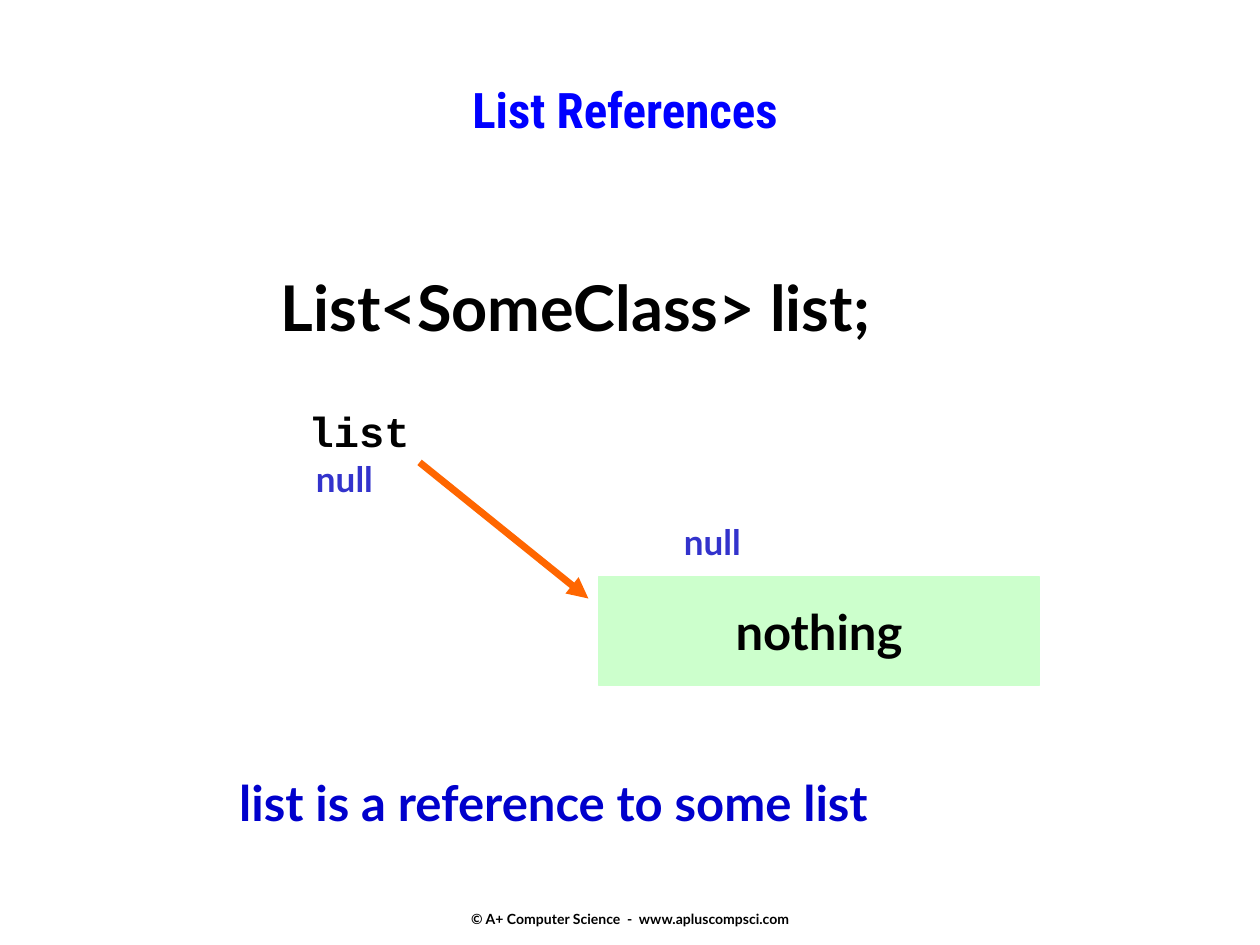
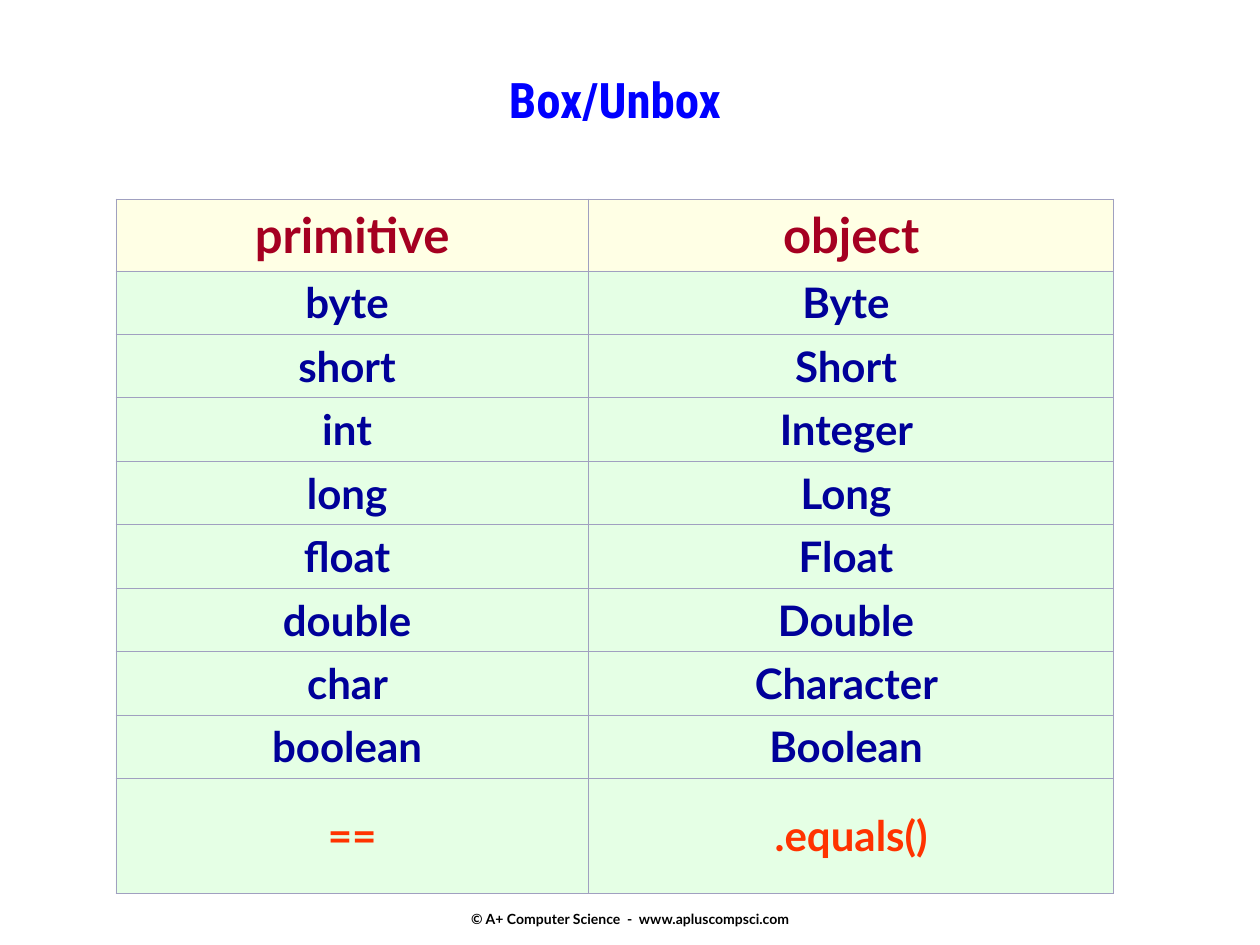
"""Build two slides on list references and boxing."""
from lxml.etree import SubElement
from pptx import Presentation
from pptx.dml.color import RGBColor
from pptx.enum.shapes import MSO_CONNECTOR, MSO_SHAPE
from pptx.enum.text import MSO_ANCHOR, MSO_AUTO_SIZE, PP_ALIGN
from pptx.oxml.ns import qn
from pptx.util import Inches, Pt

BLACK, BLUE, NAVY = "000000", "0000FF", "000099"
INDIGO, ROYAL = "3333CC", "0000CC"
ORANGE, RED, WINE = "FF6600", "FF3300", "A50021"
GREEN, CREAM, EDGE = "CCFFCC", "FFFFCC", "A0A0C0"
LATO, MONO, HEAD = "Lato", "Courier New", "Roboto Condensed"
LEFT, CENTER = PP_ALIGN.LEFT, PP_ALIGN.CENTER
TOP, MIDDLE = MSO_ANCHOR.TOP, MSO_ANCHOR.MIDDLE
PAIRS = [("byte", "Byte"), ("short", "Short"), ("int", "Integer"),
         ("long", "Long"), ("float", "Float"), ("double", "Double"),
         ("char", "Character"), ("boolean", "Boolean")]


def color(code):
    """Turn a hex string into a colour."""
    return RGBColor.from_string(code)


def write(frame, text, size=24, font=LATO, tint=BLACK, align=CENTER):
    """Put one bold, formatted paragraph in a text frame."""
    frame.text = text
    line = frame.paragraphs[0]
    line.alignment = align
    face = line.runs[0].font
    face.name, face.size, face.bold = font, Pt(size), True
    face.color.rgb = color(tint)


def label(slide, text, box, anchor=TOP, **style):
    """Add a text box."""
    frame = slide.shapes.add_textbox(*map(Inches, box)).text_frame
    frame.word_wrap = True
    frame.vertical_anchor = anchor
    write(frame, text, **style)


def page(deck, text, box):
    """Add a slide with its title and footer."""
    slide = deck.slides.add_slide(deck.slide_layouts[5])
    title = slide.shapes.title
    title.left, title.top, title.width, title.height = map(Inches, box)
    frame = title.text_frame
    frame.auto_size = MSO_AUTO_SIZE.NONE
    frame.vertical_anchor = TOP
    write(frame, text, size=28, font=HEAD, tint=BLUE)
    label(slide, "© A+ Computer Science  -  www.apluscompsci.com",
          (3.42, 7.04, 3.17, 0.5), anchor=MIDDLE, size=8)
    return slide


def block(slide, text, box, fill):
    """Add a filled rectangle with centred text."""
    shape = slide.shapes.add_shape(MSO_SHAPE.RECTANGLE, *map(Inches, box))
    shape.shadow.inherit = False
    shape.fill.solid()
    shape.fill.fore_color.rgb = color(fill)
    shape.line.color.rgb = color(fill)
    shape.line.width = Pt(1)
    shape.text_frame.vertical_anchor = MIDDLE
    write(shape.text_frame, text, size=28)


def arrow(slide, ends, tint, width):
    """Add a straight arrow without a shadow."""
    link = slide.shapes.add_connector(MSO_CONNECTOR.STRAIGHT,
                                      *map(Inches, ends))
    link.line.color.rgb = color(tint)
    link.line.width = Pt(width)
    SubElement(link.line._get_or_add_ln(), qn("a:tailEnd"), type="triangle")
    SubElement(link._element.spPr, qn("a:effectLst"))


def paint(cell, fill):
    """Give a cell thin borders and a half-clear fill."""
    props = cell._tc.get_or_add_tcPr()
    for side in ("lnL", "lnR", "lnT", "lnB"):
        edge = SubElement(props, qn(f"a:{side}"), w=str(Pt(0.45)))
        solid = SubElement(edge, qn("a:solidFill"))
        SubElement(solid, qn("a:srgbClr"), val=EDGE)
    cell.fill.solid()
    cell.fill.fore_color.rgb = color(fill)
    tone = props.find(qn("a:solidFill")).find(qn("a:srgbClr"))
    SubElement(tone, qn("a:alpha"), val="50000")


def grid(slide, rows, box, widths, heights):
    """Add a table from rows of words, fill and text style."""
    table = slide.shapes.add_table(len(rows), len(widths),
                                   *map(Inches, box)).table
    for col, width in zip(table.columns, widths):
        col.width = Inches(width)
    for row, height, (words, fill, style) in zip(table.rows, heights, rows):
        row.height = Inches(height)
        for cell, word in zip(row.cells, words):
            cell.vertical_anchor = MIDDLE
            write(cell.text_frame, word, **style)
            paint(cell, fill)


def draw_list(deck):
    """Build the slide on list references."""
    slide = page(deck, "List References", (1.17, 0.58, 7.58, 0.83))
    label(slide, "List<SomeClass> list;", (2.13, 2.08, 5.46, 0.7),
          size=36, align=LEFT)
    label(slide, "list", (2.35, 3.17, 1, 0.5), font=MONO)
    for left, top in ((2.41, 3.58), (5.33, 4.08)):
        label(slide, "null", (left, top, 0.73, 0.44),
              size=20, tint=INDIGO, align=LEFT)
    block(slide, "nothing", (4.75, 4.58, 3.5, 0.86), GREEN)
    arrow(slide, (3.33, 3.67, 4.67, 4.75), ORANGE, 4)
    label(slide, "list is a reference to some list",
          (1.8, 6.08, 5.98, 0.57), size=28, tint=ROYAL, align=LEFT)


def draw_box(deck):
    """Build the slide on boxing."""
    slide = page(deck, "Box/Unbox", (1.17, 0.5, 7.42, 0.75))
    rows = [(("primitive", "object"), CREAM, dict(size=28, tint=WINE))]
    rows += [([f"{word} " for word in pair], GREEN, dict(tint=NAVY))
             for pair in PAIRS]
    rows.append((("==", ".equals()"), GREEN, dict(tint=RED)))
    full, first, last = 5.51, 0.57, 0.91
    inner = (full - first - last) / len(PAIRS)
    grid(slide, rows, (0.92, 1.58, 7.92, full), (3.75, 4.17),
         [first] + [inner] * len(PAIRS) + [last])


def main():
    """Build and save the deck."""
    deck = Presentation()
    deck.slide_width, deck.slide_height = Inches(10), Inches(7.5)
    draw_list(deck)
    draw_box(deck)
    deck.save("out.pptx")


if __name__ == "__main__":
    main()
